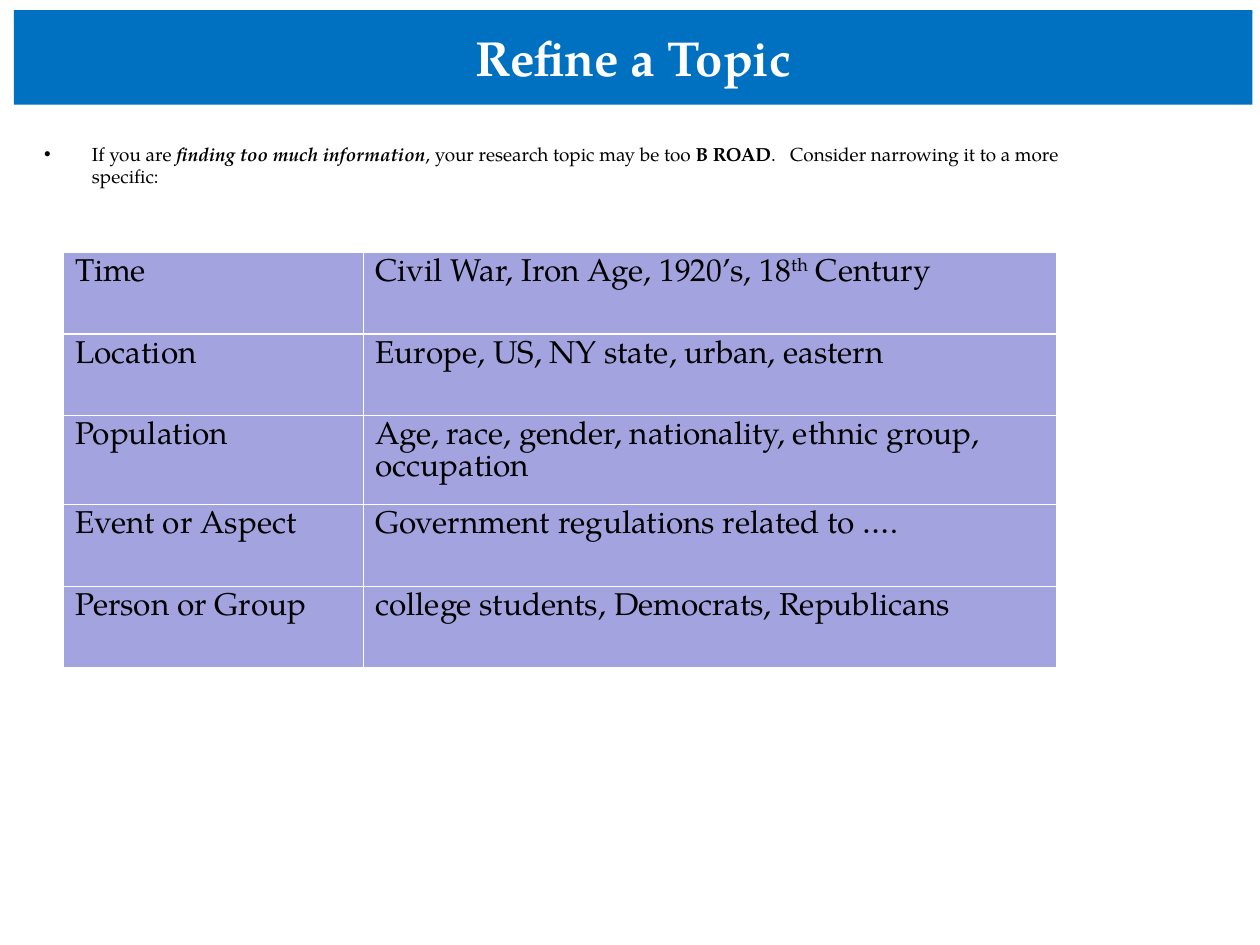
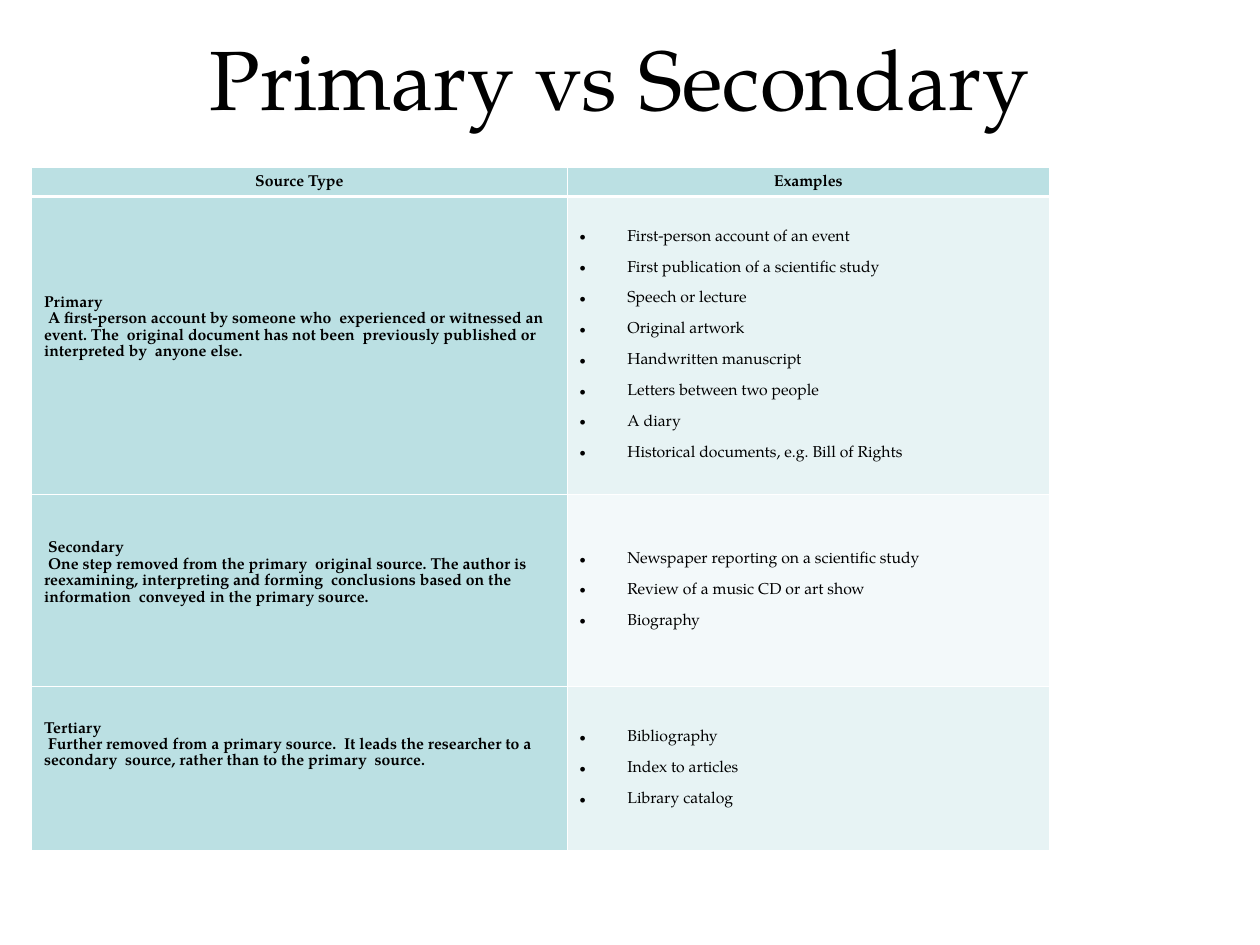
from lxml.etree import SubElement
from pptx import Presentation
from pptx.dml.color import RGBColor
from pptx.enum.text import MSO_ANCHOR, MSO_AUTO_SIZE, PP_ALIGN
from pptx.oxml.ns import qn
from pptx.util import Inches, Pt

FONT = "TeX Gyre Pagella"
COLORS = {
    "text": "000000", "white": "FFFFFF", "band": "0070C0", "lavender": "A3A3E0",
    "teal": "BBE0E3", "pale": "E7F3F4", "paler": "F3F9FA",
}

ADVICE = [
    ("If you are ", {}),
    ("finding too much information", {"bold": True, "italic": True}),
    (", your research topic may be too ", {}),
    ("B ROAD", {"bold": True}),
    (".   Consider narrowing it to a more specific:", {}),
]
REFINEMENTS = [
    ("Time", [("Civil War, Iron Age, 1920’s, 18", {}), ("th", {"baseline": 30}), (" Century", {})]),
    ("Location", [("Europe, US, NY state, urban, eastern", {})]),
    ("Population", [("Age, race, gender, nationality, ethnic group, occupation", {})]),
    ("Event or Aspect", [("Government regulations related to ….", {})]),
    ("Person or Group", [("college students, Democrats, Republicans", {})]),
]
REFINE_ROWS = [0.65, 0.65, 0.7, 0.65, 0.65]

SOURCE_HEADERS = ["Source Type", "Examples"]
SOURCES = [
    {"name": "Primary", "height": 2.36, "top": 0.78, "fill": "pale",
     "definition": " A first-person account by someone who  experienced or witnessed an event. "
                   "The  original document has not been  previously published or interpreted by "
                   " anyone else.",
     "examples": ["First-person account of an event", "First publication of a scientific study",
                  "Speech or lecture", "Original artwork", "Handwritten manuscript",
                  "Letters between two people", "A diary",
                  "Historical documents, e.g. Bill of Rights"]},
    {"name": " Secondary", "height": 1.53, "top": 0.37, "fill": "paler",
     "definition": " One step removed from the primary  original source. The author is "
                   " reexamining, interpreting and forming  conclusions based on the information "
                   " conveyed in the primary source.",
     "examples": ["Newspaper reporting on a scientific study",
                  "Review of a music CD or art show", "Biography"]},
    {"name": "Tertiary", "height": 1.3, "top": 0.27, "fill": "pale",
     "definition": " Further removed from a primary source.  It leads the researcher to a "
                   "secondary  source, rather than to the primary  source.",
     "examples": ["Bibliography", "Index to articles", "Library catalog"]},
]


def rgb(name):
    return RGBColor.from_string(COLORS[name])


def add_run(p, text, size, color="text", bold=False, italic=False, baseline=0):
    r = p.add_run()
    r.text = text
    r.font.name, r.font.size = FONT, Pt(size)
    r.font.bold, r.font.italic = bold, italic
    r.font.color.rgb = rgb(color)
    if baseline:
        r.font._element.set("baseline", str(baseline * 1000))


def add_bullet(p, size_pct=100):
    pPr = p._p.get_or_add_pPr()
    pPr.set("marL", str(Inches(0.38)))
    pPr.set("indent", str(Inches(-0.38)))
    color = SubElement(pPr, qn("a:buClr"))
    SubElement(color, qn("a:srgbClr"), val=COLORS["text"])
    SubElement(pPr, qn("a:buSzPct"), val=str(size_pct * 1000))
    SubElement(pPr, qn("a:buFont"), typeface="Arial")
    SubElement(pPr, qn("a:buChar"), char="•")


def place(sp, left, top, width, height):
    sp.left, sp.top = Inches(left), Inches(top)
    sp.width, sp.height = Inches(width), Inches(height)
    tf = sp.text_frame
    tf.word_wrap, tf.auto_size = True, MSO_AUTO_SIZE.NONE
    return tf.paragraphs[0]


def add_title(s, text, box, size, color="text", bold=False):
    p = place(s.shapes.title, *box)
    s.shapes.title.text_frame.vertical_anchor = MSO_ANCHOR.MIDDLE
    p.alignment = PP_ALIGN.CENTER
    add_run(p, text, size, color, bold)


def add_grid(s, left, top, widths, heights):
    frame = s.shapes.add_table(len(heights), len(widths), Inches(left), Inches(top),
                               Inches(sum(widths)), Inches(sum(heights)))
    table = frame.table
    table.horz_banding = table.first_row = False
    for column, width in zip(table.columns, widths):
        column.width = Inches(width)
    for row, height in zip(table.rows, heights):
        row.height = Inches(height)
    for i, row in enumerate(table.rows):
        for cell in row.cells:
            heavy = {0: "lnB", 1: "lnT"}.get(i)
            for side in ("lnL", "lnR", "lnT", "lnB"):
                width = Pt(1.47 if side == heavy else 0.45)
                ln = SubElement(cell._tc.get_or_add_tcPr(), qn("a:" + side), w=str(width))
                fill = SubElement(ln, qn("a:solidFill"))
                SubElement(fill, qn("a:srgbClr"), val=COLORS["white"])
    return table


def start_cell(cell, fill, anchor=MSO_ANCHOR.TOP):
    cell.fill.solid()
    cell.fill.fore_color.rgb = rgb(fill)
    cell.vertical_anchor = anchor
    return cell.text_frame.paragraphs[0]


def build_refine(prs):
    s = prs.slides.add_slide(prs.slide_layouts[1])
    add_title(s, "Refine a Topic", (0.11, 0.08, 9.83, 0.75), 28, "white", True)
    s.shapes.title.fill.solid()
    s.shapes.title.fill.fore_color.rgb = rgb("band")
    p = place(s.placeholders[1], 0.25, 1.08, 8.75, 0.67)
    add_bullet(p)
    p.space_before = Pt(0)
    for text, style in ADVICE:
        add_run(p, text, 10.8, **style)
    table = add_grid(s, 0.5, 2, [2.38, 5.5], REFINE_ROWS)
    for row, (aspect, examples) in zip(table.rows, REFINEMENTS):
        for cell, runs in zip(row.cells, ([(aspect, {})], examples)):
            p = start_cell(cell, "lavender")
            for text, style in runs:
                add_run(p, text, 18, **style)


def build_sources(prs):
    s = prs.slides.add_slide(prs.slide_layouts[5])
    add_title(s, "Primary vs Secondary ", (0.5, 0.3, 9, 0.62), 48)
    heights = [0.16] + [source["height"] for source in SOURCES]
    table = add_grid(s, 0.25, 1.33, [4.25, 3.83], heights)
    for cell, header in zip(table.rows[0].cells, SOURCE_HEADERS):
        p = start_cell(cell, "teal", MSO_ANCHOR.MIDDLE)
        p.alignment, p.line_spacing = PP_ALIGN.CENTER, 1.07
        add_run(p, header, 9, bold=True)
    for i, source in enumerate(SOURCES, 1):
        kind, examples = table.cell(i, 0), table.cell(i, 1)
        p = start_cell(kind, "teal")
        kind.margin_top = Inches(source["top"])
        p.line_spacing = 1.07
        add_run(p, source["name"], 9, bold=True)
        p.add_line_break()
        add_run(p, source["definition"], 9, bold=True)
        p = start_cell(examples, source["fill"], MSO_ANCHOR.MIDDLE)
        for j, example in enumerate(source["examples"]):
            if j:
                p = examples.text_frame.add_paragraph()
            add_bullet(p, 111)
            p.line_spacing, p.space_after = 1.07, Pt(8)
            add_run(p, example, 9)


def main():
    prs = Presentation()
    prs.slide_width, prs.slide_height = Inches(10), Inches(7.5)
    build_refine(prs)
    build_sources(prs)
    prs.save("out.pptx")


if __name__ == "__main__":
    main()
